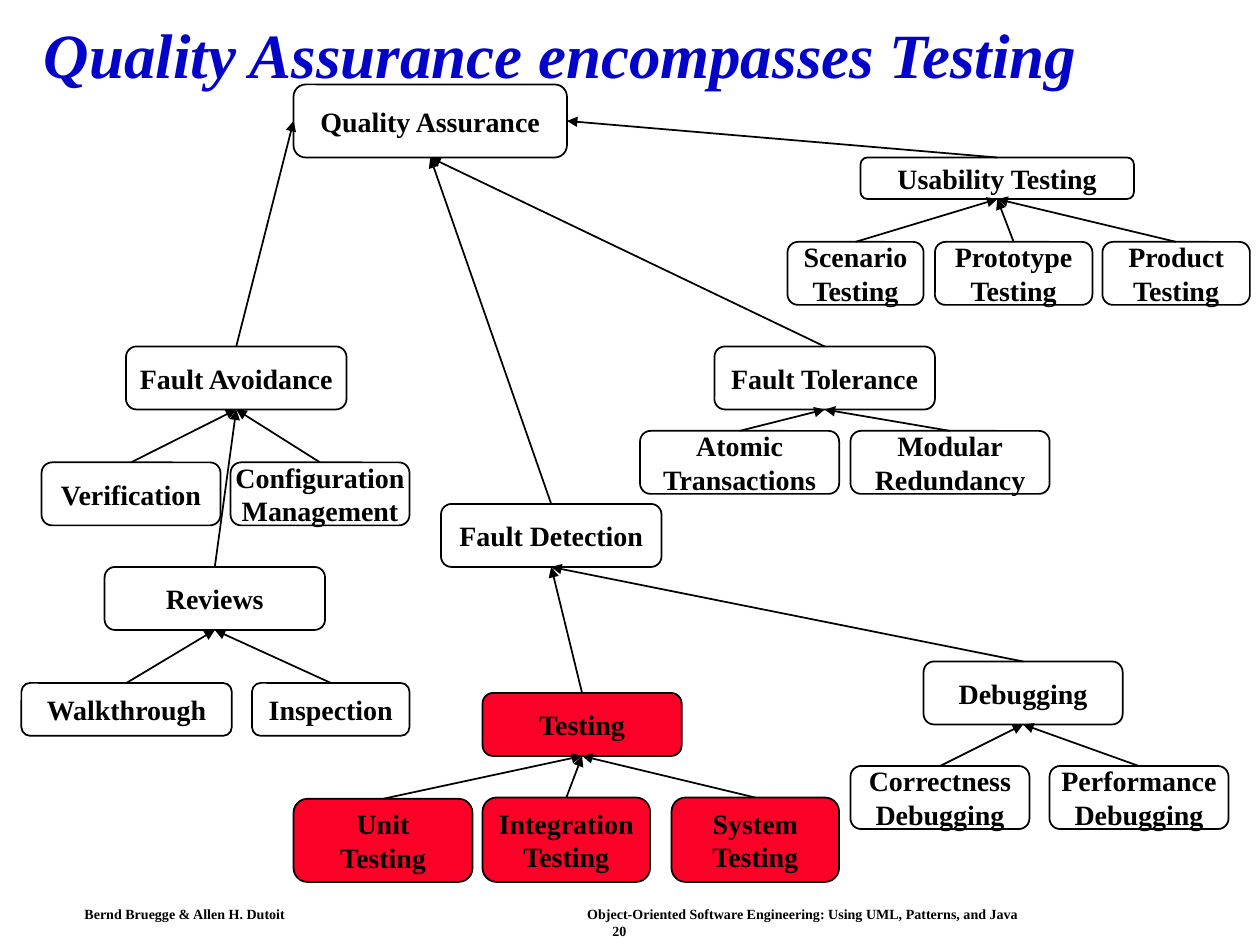
from dataclasses import dataclass

from lxml import etree
from pptx import Presentation
from pptx.dml.color import RGBColor
from pptx.enum.shapes import MSO_CONNECTOR, MSO_SHAPE
from pptx.enum.text import MSO_ANCHOR, PP_ALIGN
from pptx.oxml.ns import qn
from pptx.util import Inches, Pt

ROUND_RECT = MSO_SHAPE.ROUNDED_RECTANGLE
STRAIGHT = MSO_CONNECTOR.STRAIGHT
MIDDLE = MSO_ANCHOR.MIDDLE
CENTER = PP_ALIGN.CENTER
TOP, LEFT, BOTTOM, RIGHT = range(4)

FONT = "Times New Roman"
BLACK, WHITE, RED, BLUE = "000000", "FFFFFF", "FC0128", "0404C8"


@dataclass
class Node:
    text: str
    x: float
    y: float
    w: float
    h: float = 0.5
    parent: str = ""
    side: int = BOTTOM  # side of the parent where the arrow ends
    fill: str = WHITE


NODES = [
    Node("Quality Assurance", 2.33, 0.67, 2.17, 0.58),
    # Usability testing
    Node("Usability Testing", 6.83, 1.25, 2.17, 0.33, "Quality Assurance", RIGHT),
    Node("Scenario\nTesting", 6.25, 1.92, 1.08, parent="Usability Testing"),
    Node("Prototype\nTesting", 7.42, 1.92, 1.25, parent="Usability Testing"),
    Node("Product\nTesting", 8.75, 1.92, 1.17, parent="Usability Testing"),
    # Fault avoidance
    Node("Fault Avoidance", 1, 2.75, 1.75, parent="Quality Assurance", side=LEFT),
    Node("Verification", 0.33, 3.67, 1.42, parent="Fault Avoidance"),
    Node("Configuration\nManagement", 1.83, 3.67, 1.42, parent="Fault Avoidance"),
    Node("Reviews", 0.83, 4.5, 1.75, parent="Fault Avoidance"),
    Node("Walkthrough", 0.17, 5.42, 1.67, 0.42, "Reviews"),
    Node("Inspection", 2, 5.42, 1.25, 0.42, "Reviews"),
    # Fault tolerance
    Node("Fault Tolerance", 5.67, 2.75, 1.75, parent="Quality Assurance"),
    Node("Atomic\nTransactions", 5.08, 3.42, 1.58, parent="Fault Tolerance"),
    Node("Modular\nRedundancy", 6.75, 3.42, 1.58, parent="Fault Tolerance"),
    # Fault detection
    Node("Fault Detection", 3.5, 4, 1.75, parent="Quality Assurance"),
    Node("Debugging", 7.33, 5.25, 1.58, parent="Fault Detection"),
    Node("Correctness\nDebugging", 6.75, 6.08, 1.42, parent="Debugging"),
    Node("Performance\nDebugging", 8.33, 6.08, 1.42, parent="Debugging"),
    Node("Testing", 3.83, 5.5, 1.58, parent="Fault Detection", fill=RED),
    Node("Unit\nTesting", 2.33, 6.34, 1.42, 0.66, "Testing", fill=RED),
    Node("Integration\nTesting", 3.83, 6.33, 1.33, 0.67, "Testing", fill=RED),
    Node("System\nTesting", 5.33, 6.33, 1.33, 0.67, "Testing", fill=RED),
]


def rgb(value: str) -> RGBColor:
    return RGBColor.from_string(value)


def add_run(p, text: str, size: float, color: str = BLACK, italic: bool = False) -> None:
    r = p.add_run()
    r.text = text
    r.font.name = FONT
    r.font.size = Pt(size)
    r.font.bold = True
    r.font.italic = italic
    r.font.color.rgb = rgb(color)


def add_text_box(s, x: float, y: float, w: float, h: float, pad_x: float, pad_y: float):
    tf = s.shapes.add_textbox(Inches(x), Inches(y), Inches(w), Inches(h)).text_frame
    tf.word_wrap = True
    tf.margin_left = tf.margin_right = Inches(pad_x)
    tf.margin_top = tf.margin_bottom = Inches(pad_y)
    return tf


def add_node(s, node: Node):
    sp = s.shapes.add_shape(ROUND_RECT, Inches(node.x), Inches(node.y),
                            Inches(node.w), Inches(node.h))
    sp.shadow.inherit = False
    sp.fill.solid()
    sp.fill.fore_color.rgb = rgb(node.fill)
    sp.line.color.rgb = rgb(BLACK)
    sp.line.width = Pt(1)
    tf = sp.text_frame
    tf.word_wrap = False
    tf.vertical_anchor = MIDDLE
    for i, line in enumerate(node.text.split("\n")):
        p = tf.add_paragraph() if i else tf.paragraphs[0]
        p.alignment = CENTER
        add_run(p, line, 16)
    return sp


def add_arrow(s, child, parent, side: int) -> None:
    cx = s.shapes.add_connector(STRAIGHT, 0, 0, 0, 0)
    cx.begin_connect(child, TOP)
    cx.end_connect(parent, side)
    cx.line.color.rgb = rgb(BLACK)
    cx.line.width = Pt(1)
    etree.SubElement(cx.line._get_or_add_ln(), qn("a:tailEnd"), type="triangle")
    etree.SubElement(cx._element.spPr, qn("a:effectLst"))


def add_title(s) -> None:
    tf = add_text_box(s, 0.25, 0.08, 8.92, 0.77, 0.1, 0.05)
    tf.vertical_anchor = MIDDLE
    p = tf.paragraphs[0]
    p.line_spacing = 0.9
    add_run(p, "Quality Assurance encompasses Testing", 36, BLUE, italic=True)


def add_footer(s) -> None:
    tf = add_text_box(s, 0.59, 7.15, 8.65, 0.21, 0.08, 0.04)
    p = tf.paragraphs[0]
    tabs = etree.SubElement(p._p.get_or_add_pPr(), qn("a:tabLst"))
    etree.SubElement(tabs, qn("a:tab"), pos=str(Inches(3.99)), algn="l")
    add_run(p, "Bernd Bruegge & Allen H. Dutoit\t", 8)
    add_run(p, "Object-Oriented Software Engineering: Using UML, Patterns, and Java", 8)
    p = tf.add_paragraph()
    p.alignment = CENTER
    add_run(p, "20", 8)


def main() -> None:
    prs = Presentation()
    prs.slide_width, prs.slide_height = Inches(10), Inches(7.5)
    s = prs.slides.add_slide(prs.slide_layouts[6])
    add_footer(s)
    add_title(s)

    # Boxes first, then the arrows from each child to its parent
    boxes = {node.text: add_node(s, node) for node in NODES}
    for node in NODES:
        if node.parent:
            add_arrow(s, boxes[node.text], boxes[node.parent], node.side)

    prs.save("out.pptx")


if __name__ == "__main__":
    main()
